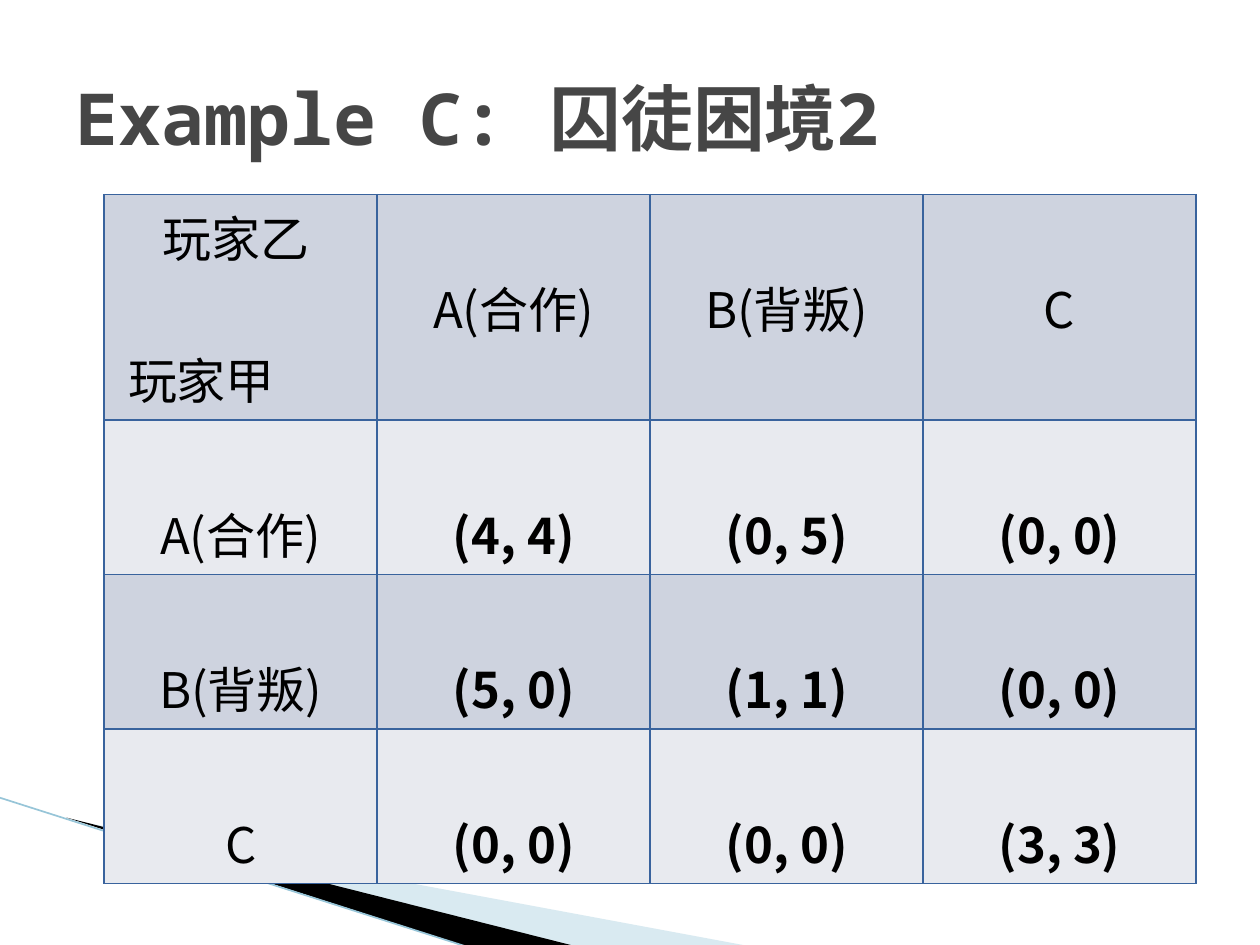
"""Build the payoff table slide for the second prisoner's dilemma."""
from lxml import etree
from pptx import Presentation
from pptx.dml import color
from pptx.enum import shapes, text
from pptx.oxml import ns
from pptx.util import Pt

CELL_FONT = "Noto Sans CJK SC"
CELL_FORMAT = {"name": CELL_FONT, "size": Pt(28), "bold": False}
TITLE_FORMAT = {"name": "Noto Sans Mono", "size": Pt(41), "bold": True}
BANDS = ("CED3DF", "E8EAEF")
ROW_HEIGHTS = (128.8, 88.3, 88.3, 88.3)
PAYOFFS = (
    ("", "A(合作)", "B(背叛)", "C"),
    ("A(合作)", "(4, 4)", "(0, 5)", "(0, 0)"),
    ("B(背叛)", "(5, 0)", "(1, 1)", "(0, 0)"),
    ("C", "(0, 0)", "(0, 0)", "(3, 3)"),
)


def rgb(value):
    """Return the colour for a hex string."""
    return color.RGBColor.from_string(value)


def add_child(parent, tag, **attributes):
    """Append a drawing element to its parent."""
    return etree.SubElement(parent, ns.qn(tag), attributes)


def write(paragraph, content, formats, ink):
    """Put one formatted run in a paragraph."""
    run = paragraph.add_run()
    run.text = content
    for name, value in formats.items():
        setattr(run.font, name, value)
    run.font.color.rgb = rgb(ink)
    add_child(run.font._element, "a:ea", typeface=CELL_FONT)


def add_wedge(slide, points, fill, opacity=100):
    """Draw one filled wedge through the given points."""
    corners = [(Pt(x), Pt(y)) for x, y in points]
    builder = slide.shapes.build_freeform(*corners[0])
    builder.add_line_segments(corners[1:], close=True)
    shape = builder.convert_to_shape()
    shape.shadow.inherit = False
    shape.fill.solid()
    shape.fill.fore_color.rgb = rgb(fill)
    shape.line.fill.background()
    if opacity < 100:
        fill_color = shape._element.spPr.find(".//" + ns.qn("a:srgbClr"))
        add_child(fill_color, "a:alpha", val=str(opacity * 1000))


def add_swoosh(slide, left, top, right, bottom):
    """Draw the corner decoration inside the given edges."""
    add_wedge(slide, [(left + 40, top + 12.7), (right, bottom), (right - 100, bottom)],
              "A0CBDC", 40)
    add_wedge(slide, [(left + 38.5, top + 11.5), (right - 99.5, bottom),
                      (right - 160.5, bottom + 0.5)], "000000")
    line = slide.shapes.add_connector(
        shapes.MSO_CONNECTOR.STRAIGHT, Pt(left), Pt(top), Pt(right - 161), Pt(bottom + 0.5))
    line.line.width = Pt(0.95)
    line.line.color.rgb = rgb("97C5D8")
    add_child(line._element.spPr, "a:effectLst")


def place_title(slide, left, top, width, height):
    """Move, fill and format the title placeholder."""
    title = slide.shapes.title
    box = {"left": left, "top": top, "width": width, "height": height}
    for name, value in box.items():
        setattr(title, name, Pt(value))
    frame = title.text_frame
    frame.word_wrap = True
    frame.vertical_anchor = text.MSO_ANCHOR.MIDDLE
    paragraph = frame.paragraphs[0]
    paragraph.alignment = text.PP_ALIGN.LEFT
    write(paragraph, "Example C: 囚徒困境2", TITLE_FORMAT, "464646")


def style_cell(cell, fill):
    """Give a cell its four borders and its fill."""
    properties = cell._tc.get_or_add_tcPr()
    for side in ("L", "R", "T", "B"):
        border = add_child(properties, f"a:ln{side}", w=str(Pt(1)))
        add_child(add_child(border, "a:solidFill"), "a:srgbClr", val="39639D")
    cell.fill.solid()
    cell.fill.fore_color.rgb = rgb(fill)


def fill_corner(cell):
    """Write the two player names in the corner cell."""
    frame = cell.text_frame
    column_player, row_player = frame.paragraphs[0], frame.add_paragraph()
    row_player.space_before = Pt(40.5)
    for paragraph, name, indent in ((column_player, "玩家乙", 26), (row_player, "玩家甲", 6.5)):
        paragraph._p.get_or_add_pPr().set("marL", str(Pt(indent)))
        write(paragraph, name, CELL_FORMAT, "000000")


def add_payoffs(slide, left, top, width, height):
    """Add the payoff table in the given box."""
    table = slide.shapes.add_table(
        len(PAYOFFS), len(PAYOFFS[0]), Pt(left), Pt(top), Pt(width), Pt(height)).table
    table.first_row = table.horz_banding = False
    for row, row_height in zip(table.rows, ROW_HEIGHTS):
        row.height = Pt(row_height)
    for i, row in enumerate(PAYOFFS):
        for j, content in enumerate(row):
            cell = table.cell(i, j)
            style_cell(cell, BANDS[i % 2])
            if i == j == 0:
                fill_corner(cell)
                continue
            cell.vertical_anchor = text.MSO_ANCHOR.BOTTOM if i else text.MSO_ANCHOR.MIDDLE
            paragraph = cell.text_frame.paragraphs[0]
            paragraph.alignment = text.PP_ALIGN.CENTER
            write(paragraph, content, CELL_FORMAT | {"bold": i > 0 and j > 0}, "000000")


def main():
    """Build and save the presentation."""
    presentation = Presentation()
    presentation.slide_width, presentation.slide_height = Pt(720), Pt(540)
    slide = presentation.slides.add_slide(presentation.slide_layouts[5])
    add_swoosh(slide, -0.5, 455.7, 428.5, 540.7)
    place_title(slide, 36, 21.6, 648, 90)
    add_payoffs(slide, 59.5, 111.2, 624, sum(ROW_HEIGHTS))
    presentation.save("out.pptx")


if __name__ == "__main__":
    main()
